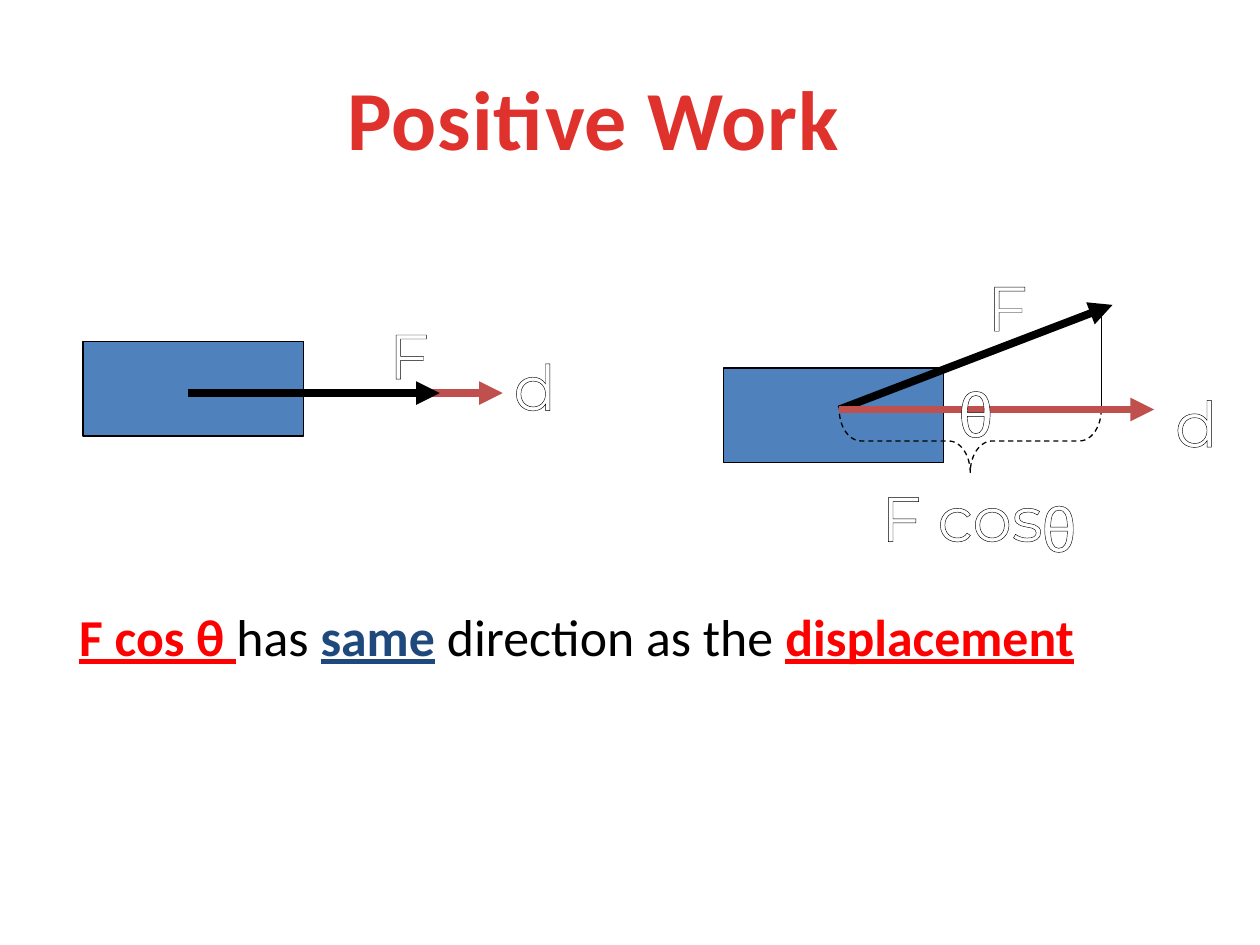
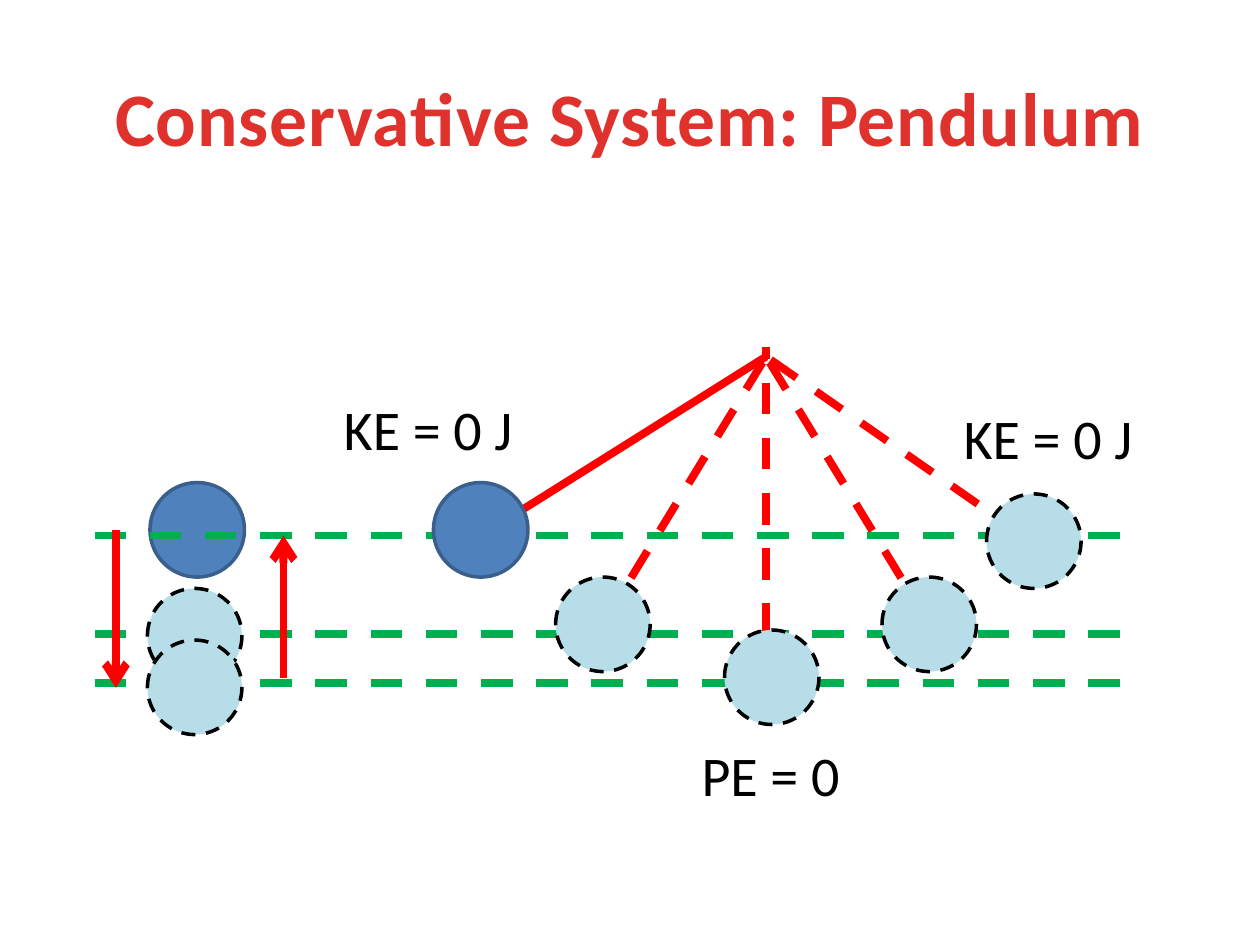
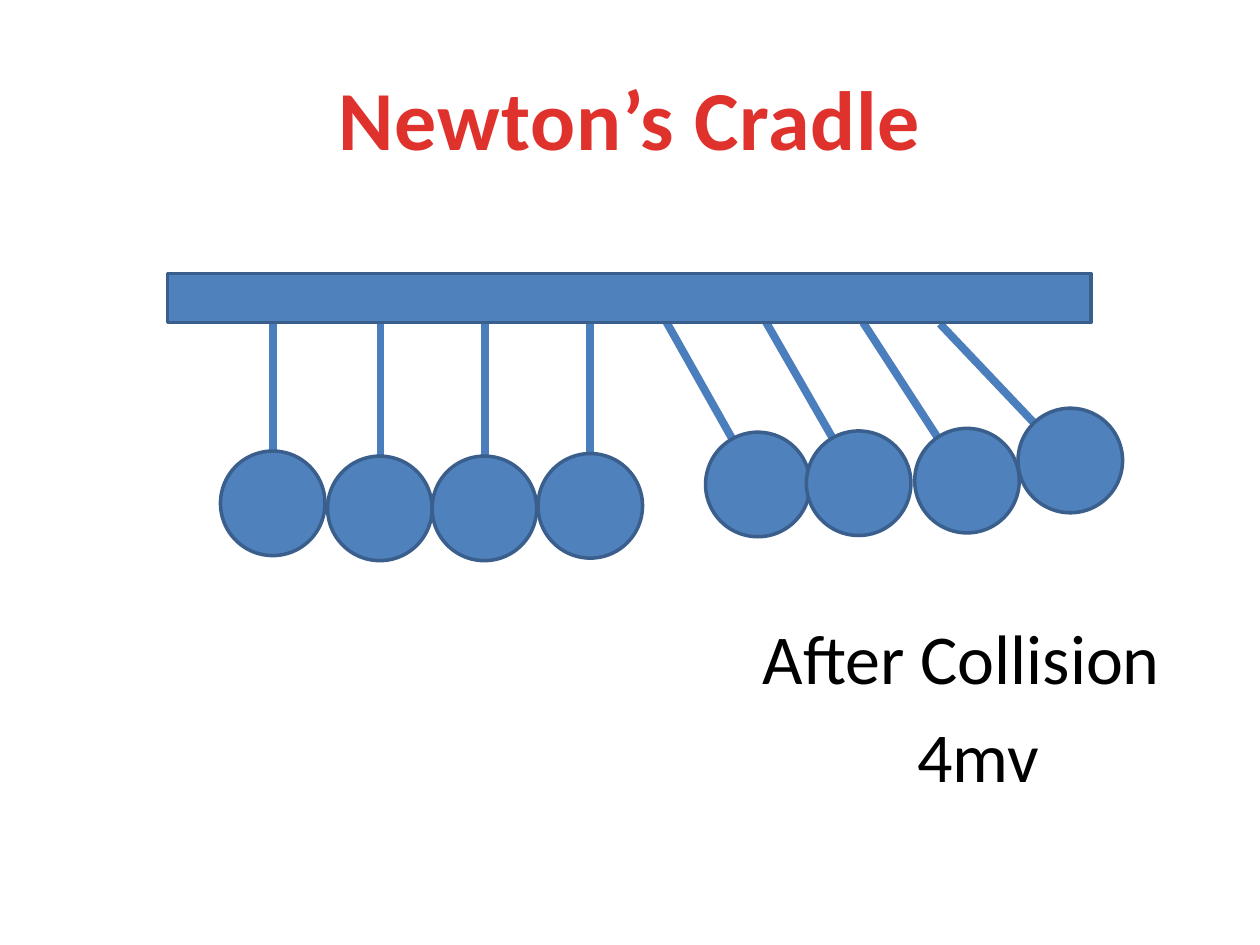
from lxml import etree
from pptx import Presentation
from pptx.dml.color import RGBColor
from pptx.enum.dml import MSO_LINE
from pptx.enum.shapes import MSO_CONNECTOR, MSO_SHAPE
from pptx.enum.text import MSO_ANCHOR, PP_ALIGN
from pptx.oxml.ns import qn
from pptx.util import Inches, Pt

COLORS = {
    "title": "E0322D",
    "blue": "4F81BD",
    "blue_edge": "3A5F8C",
    "string": "4B7EBC",
    "ghost": "B7DEE8",
    "displacement": "C0504D",
    "navy": "1F497D",
    "green": "00B050",
    "red": "FF0000",
    "black": "000000",
    "white": "FFFFFF",
}
FONT = "Calibri"
LABEL_FONT = "Montserrat"
GREEK_FONT = "Arial"
LABEL_SLACK = 0.3
THICK = 4.5
THIN = 0.75


def rgb(name):
    return RGBColor.from_string(COLORS[name])


def style_line(line, color, width, dashed=False):
    line.color.rgb = rgb(color)
    line.width = Pt(width)
    if dashed:
        line.dash_style = MSO_LINE.DASH


def add_run(paragraph, text, size, color="black", font=FONT, marked=False):
    run = paragraph.add_run()
    run.text = text
    run.font.name = font
    run.font.size = Pt(size)
    run.font.color.rgb = rgb(color)
    if marked:
        run.font.bold = True
        run.font.underline = True
    return run


def add_title_slide(presentation, text, width=9, size=48):
    slide = presentation.slides.add_slide(presentation.slide_layouts[5])
    title = slide.shapes.title
    title.left, title.top = Inches(0.5), Inches(0.3)
    title.width, title.height = Inches(width), Inches(1.25)
    title.text_frame.vertical_anchor = MSO_ANCHOR.MIDDLE
    paragraph = title.text_frame.paragraphs[0]
    paragraph.alignment = PP_ALIGN.CENTER
    run = add_run(paragraph, text, size, "title")
    run.font.bold = True
    run.font._element.set("spc", "50")
    return slide


def add_line(slide, start, end, color, width=THICK, dashed=False, head=None):
    points = [Inches(value) for value in (*start, *end)]
    connector = slide.shapes.add_connector(MSO_CONNECTOR.STRAIGHT, *points)
    style_line(connector.line, color, width, dashed)
    if head:
        etree.SubElement(connector.line._get_or_add_ln(), qn("a:tailEnd"), type=head)
    etree.SubElement(connector._element.spPr, qn("a:effectLst"))


def add_figure(slide, kind, left, top, width, height, fill, edge, weight, dashed=False):
    shape = slide.shapes.add_shape(
        kind, Inches(left), Inches(top), Inches(width), Inches(height)
    )
    shape.shadow.inherit = False
    if fill:
        shape.fill.solid()
        shape.fill.fore_color.rgb = rgb(fill)
    else:
        shape.fill.background()
    style_line(shape.line, edge, weight, dashed)
    return shape


def add_text_box(slide, left, top, width, height):
    box = slide.shapes.add_textbox(
        Inches(left), Inches(top), Inches(width), Inches(height)
    )
    box.text_frame.word_wrap = True
    return box.text_frame


def add_label(slide, text, left, top, width=0.33, height=0.46, font=LABEL_FONT):
    frame = add_text_box(
        slide, left - LABEL_SLACK, top, width + 2 * LABEL_SLACK, height
    )
    frame.margin_left = frame.margin_right = 0
    paragraph = frame.paragraphs[0]
    paragraph.alignment = PP_ALIGN.CENTER
    run = add_run(paragraph, text, 36, "white", font)
    outline = etree.Element(qn("a:ln"), w=str(Pt(THIN)))
    fill = etree.SubElement(outline, qn("a:solidFill"))
    etree.SubElement(fill, qn("a:srgbClr"), val=COLORS["black"])
    run.font._element.insert(0, outline)


def add_block(slide, left, top):
    add_figure(slide, MSO_SHAPE.RECTANGLE, left, top, 1.75, 0.75, "blue", "black", THIN)


def add_parallel_force(slide, left, top):
    start_x, y = left + 0.83, top + 0.66
    add_block(slide, left, top + 0.25)
    add_label(slide, "F", left + 2.42, top)
    add_label(slide, "d", left + 3.42, top + 0.25)
    for length, color in ((2.5, "displacement"), (2, "black")):
        add_line(slide, (start_x, y), (start_x + length, y), color, head="triangle")


def add_angled_force(slide, left, top):
    start = start_x, y = left + 0.92, top + 1.17
    tip_y = top + 0.34
    add_block(slide, left, top + 0.84)
    add_line(slide, start, (left + 3.09, tip_y), "black", head="triangle")
    add_label(slide, "F", left + 2.09, top)
    add_line(slide, start, (start_x + 2.42, y), "black", THIN, dashed=True)
    add_line(slide, (left + 3, tip_y), (left + 3, y), "black", THIN)
    add_label(slide, "θ", left + 2.5, top + 1.75, height=0.38, font=GREEK_FONT)
    add_label(slide, "F cos ", left + 1.42, top + 1.67, width=1.08)
    brace = add_figure(
        slide, MSO_SHAPE.RIGHT_BRACE, left + 1.71, top + 0.38, 0.5, 2.08,
        None, "black", THIN, True,
    )
    brace.adjustments[0] = 0.347
    brace.rotation = 90
    add_label(slide, "d", left + 3.59, top + 0.92)
    add_line(slide, start, (start_x + 2.5, y), "displacement", head="triangle")
    add_label(slide, "θ", left + 1.92, top + 0.84, 0.17, 0.25, GREEK_FONT)


def add_conclusion(slide, left, top):
    paragraph = add_text_box(slide, left, top, 8.72, 0.83).paragraphs[0]
    for text, color, marked in (
        ("F cos θ ", "red", True),
        ("has ", "black", False),
        ("same", "navy", True),
        (" direction as the ", "black", False),
        ("displacement", "red", True),
    ):
        add_run(paragraph, text, 29.6, color, marked=marked)


def add_bob(slide, left, top, ghost=True):
    fill, edge = ("ghost", "black") if ghost else ("blue", "blue_edge")
    add_figure(slide, MSO_SHAPE.OVAL, left, top, 0.75, 0.75, fill, edge, 2, ghost)


def add_height_levels(slide, left, top):
    add_bob(slide, left + 0.44, top + 1.08, ghost=False)
    for level in (1.5, 2.28, 2.67):
        add_line(
            slide, (left, top + level), (left + 8.17, top + level), "green", dashed=True
        )


def add_swing(slide, left, top):
    pivot_x = left + 2.64
    rods = (
        (0.38, 1.5, 0.08),
        (1.34, 2.21, 0.08),
        (2.64, 2.29, 0),
        (3.94, 2.21, 0.08),
        (4.68, 1.5, 0.08),
    )
    bobs = ((0, 1.08), (0.97, 1.83), (2.31, 2.25), (3.56, 1.83), (4.39, 1.17))
    for index, (x, y, pivot_y) in enumerate(rods):
        add_line(
            slide, (left + x, top + y), (pivot_x, top + pivot_y), "red", dashed=index > 0
        )
    for index, (x, y) in enumerate(bobs):
        add_bob(slide, left + x, top + y, ghost=index > 0)


def add_vertical_motion(slide, left, top):
    for y in (0.46, 0.87):
        add_bob(slide, left + 0.25, top + y)
    for x, start_y, end_y in ((0, 0, 1.25), (1.33, 1.17, 0.04)):
        add_line(
            slide, (left + x, top + start_y), (left + x, top + end_y), "red", head="arrow"
        )


def add_energy_label(slide, text, left, top, width):
    paragraph = add_text_box(slide, left, top, width, 0.68).paragraphs[0]
    add_run(paragraph, text, 32)


def add_cradle(slide, left, top):
    pendulums = (
        ((0.84, 0.33), (0.84, 1.41), (0.42, 1.41), 0),
        ((1.69, 0.37), (1.69, 1.45), (1.27, 1.45), 0),
        ((2.52, 0.37), (2.52, 1.45), (2.1, 1.45), 0),
        ((3.35, 0.35), (3.35, 1.43), (2.94, 1.43), 0),
        ((3.95, 0.37), (4.48, 1.31), (4.27, 1.26), 330.6),
        ((4.74, 0.37), (5.28, 1.31), (5.07, 1.25), 330),
        ((5.52, 0.39), (6.11, 1.3), (5.93, 1.23), 326.6),
        ((6.13, 0.4), (6.88, 1.19), (6.75, 1.07), 316.6),
    )
    for parts in pendulums:
        start, end, corner = [(left + x, top + y) for x, y in parts[:3]]
        add_line(slide, start, end, "string")
        ball = add_figure(
            slide, MSO_SHAPE.OVAL, *corner, 0.83, 0.83, "blue", "blue_edge", 2
        )
        ball.rotation = parts[3]
    add_figure(
        slide, MSO_SHAPE.RECTANGLE, left, top, 7.33, 0.39, "blue", "blue_edge", 2
    )


def add_collision_caption(slide, left, top):
    frame = add_text_box(slide, left, top, 3.44, 1.5)
    heading, momentum = frame.paragraphs[0], frame.add_paragraph()
    momentum.space_before = Pt(8)
    momentum._p.get_or_add_pPr().set("marL", str(Inches(0.27)))
    for paragraph, text in ((heading, "After Collision"), (momentum, "4mv")):
        paragraph.alignment = PP_ALIGN.CENTER
        add_run(paragraph, text, 40)


def build_positive_work(presentation):
    slide = add_title_slide(presentation, "Positive Work ", width=8.58)
    add_parallel_force(slide, 0.66, 2.46)
    add_angled_force(slide, 5.74, 2.08)
    add_conclusion(slide, 0.53, 4.75)


def build_pendulum(presentation):
    slide = add_title_slide(presentation, "Conservative System: Pendulum", size=43.2)
    add_height_levels(slide, 0.75, 2.75)
    add_swing(slide, 3.44, 2.75)
    add_vertical_motion(slide, 0.92, 4.21)
    add_energy_label(slide, "KE = 0 J", 2.63, 3.08, 2.04)
    add_energy_label(slide, "KE = 0 J", 7.55, 3.15, 2.04)
    add_energy_label(slide, "PE = 0", 5.47, 5.83, 1.5)


def build_newtons_cradle(presentation):
    slide = add_title_slide(presentation, "Newton’s Cradle")
    add_collision_caption(slide, 5.91, 4.83)
    add_cradle(slide, 1.33, 2.17)


def main():
    presentation = Presentation()
    presentation.slide_width = Inches(10)
    presentation.slide_height = Inches(7.5)
    build_positive_work(presentation)
    build_pendulum(presentation)
    build_newtons_cradle(presentation)
    presentation.save("out.pptx")


if __name__ == "__main__":
    main()
